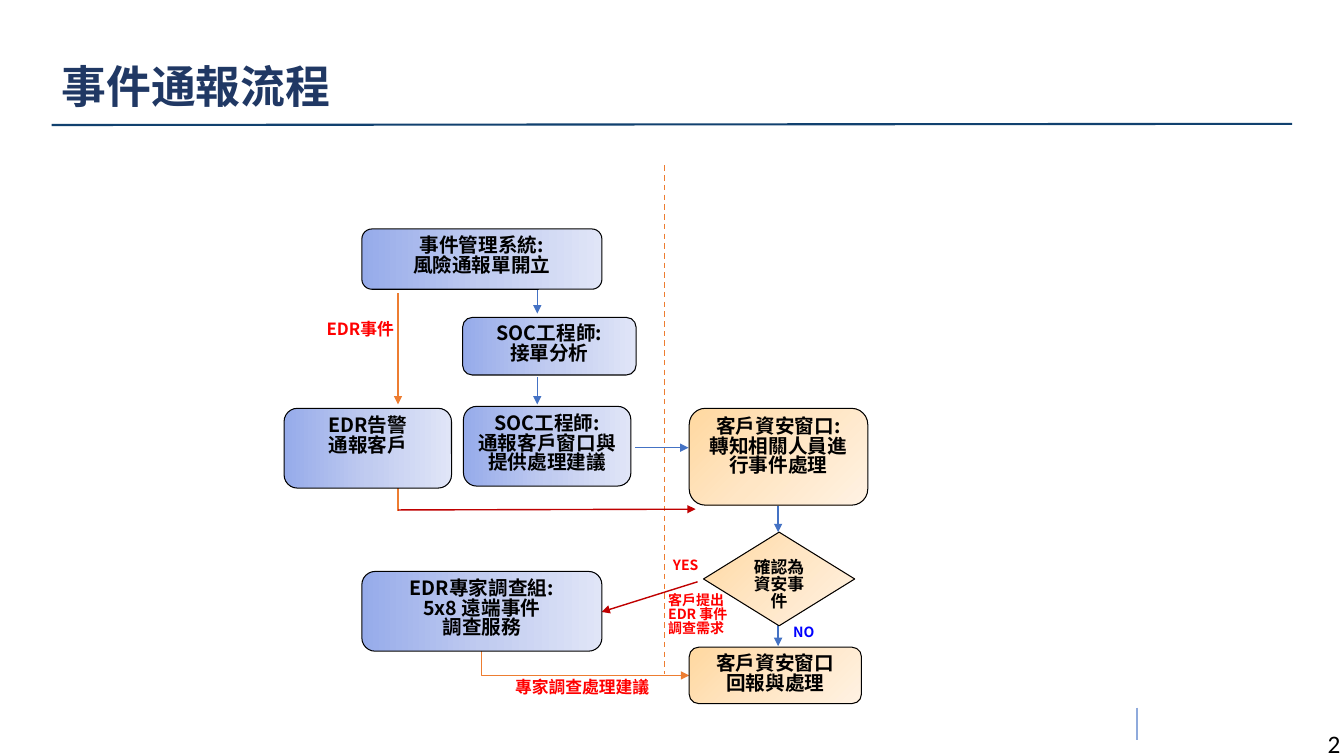
from copy import deepcopy
from dataclasses import dataclass

from lxml import etree
from pptx import Presentation
from pptx.dml.color import RGBColor
from pptx.enum.dml import MSO_LINE
from pptx.enum.shapes import MSO_CONNECTOR, MSO_SHAPE
from pptx.enum.text import MSO_ANCHOR, PP_ALIGN
from pptx.oxml.ns import qn
from pptx.util import Cm, Pt

ROUNDED, DIAMOND = MSO_SHAPE.ROUNDED_RECTANGLE, MSO_SHAPE.DIAMOND
STRAIGHT = MSO_CONNECTOR.STRAIGHT
DASH = MSO_LINE.DASH
TOP = MSO_ANCHOR.TOP
LEFT, CENTER, RIGHT = PP_ALIGN.LEFT, PP_ALIGN.CENTER, PP_ALIGN.RIGHT

CJK_FONT = "Noto Sans CJK SC"
LATIN_FONT = "Calibri"
CJK_SPACING = 0.83

COLORS = {
    "black": "000000", "title": "203864", "rule": "11416F", "tick": "8FAADC",
    "orange": "ED7D31", "blue": "4472C4", "crimson": "C00000",
    "red": "FF0000", "no": "0000FF",
}
GRADIENTS = {
    "provider": (("96ABEA", "C0CBF0", "E0E5F7"), 0),
    "customer": (("FFD8A0", "FFE6C5", "FFF2E3"), 315),
}


@dataclass
class Step:
    text: str
    left: float
    top: float
    width: float
    height: float
    owner: str = "provider"
    outline: int = ROUNDED
    size: int = 14


@dataclass
class Link:
    x1: float
    y1: float
    x2: float
    y2: float
    color: str
    arrow: bool = True
    weight: float = 1
    dashed: bool = False
    bent: bool = False


@dataclass
class Label:
    text: str
    left: float
    top: float
    width: float
    height: float
    size: int
    color: str = "red"
    font: str = CJK_FONT
    bold: bool = True
    align: int = LEFT
    spacing: float = CJK_SPACING
    right_inset: float = 0.25


STEPS = [
    Step("事件管理系統:\n風險通報單開立", 9.12, 5.77, 6.05, 1.52),
    Step("SOC工程師:\n接單分析", 11.66, 8, 4.37, 1.45),
    Step("SOC工程師:\n通報客戶窗口與提供處理建議", 11.68, 10.24, 4.22, 2.01),
    Step("EDR告警\n通報客戶", 7.16, 10.29, 4.22, 2.01),
    Step("客戶資安窗口:\n轉知相關人員進行事件處理", 17.37, 10.29, 4.5, 2.44, "customer"),
    Step("EDR專家調查組:\n5x8 遠端事件\n調查服務", 9.12, 14.4, 6.05, 2.01),
    Step("確認為資安事件", 17.73, 13.41, 3.81, 2.36, "customer", DIAMOND, 12),
    Step("客戶資安窗口\n回報與處理", 17.37, 16.31, 4.34, 1.42, "customer"),
]

LINKS = [
    Link(28.65, 17.83, 28.65, 18.64, "tick", arrow=False),
    Link(1.3, 3.15, 32.56, 3.12, "rule", arrow=False, weight=1.5),
    Link(16.74, 4.17, 16.74, 16.99, "orange", arrow=False, dashed=True),
    Link(10.03, 7.39, 10.03, 10.19, "orange"),
    Link(13.54, 7.29, 13.54, 7.9, "blue"),
    Link(13.54, 9.5, 13.54, 10.19, "blue"),
    Link(16, 11.28, 17.35, 11.28, "blue"),
    Link(10.03, 12.29, 10.03, 12.88, "orange", arrow=False, weight=1.5),
    Link(10.03, 12.85, 17.53, 12.83, "crimson"),
    Link(19.61, 12.73, 19.61, 13.41, "blue"),
    Link(17.58, 14.66, 15.16, 15.42, "crimson"),
    Link(19.61, 15.54, 19.61, 16.28, "blue"),
    Link(12.14, 16.41, 17.37, 17.02, "orange", bent=True),
]

LABELS = [
    Label("事件通報流程", 1.3, 1.5, 31.27, 1.93, 32, "title", LATIN_FONT, spacing=0.9),
    Label("2", 32.11, 18.24, 1.75, 0.81, 18, "black", LATIN_FONT, False, RIGHT, 1, 0.08),
    Label("EDR事件", 7.98, 8, 3.2, 0.76, 12),
    Label("YES", 16.71, 13.97, 1.7, 0.69, 10),
    Label("客戶提出\nEDR 事件\n調查需求", 16.59, 14.86, 2.77, 1.55, 10),
    Label("NO", 19.74, 15.65, 1.7, 0.69, 10, "no"),
    Label("專家調查處理建議", 12.73, 17.02, 4.11, 0.76, 12),
]


def rgb(name: str) -> RGBColor:
    return RGBColor.from_string(COLORS[name])


def write(frame, text: str, size: int, color: str, font: str, bold: bool,
          align: int, spacing: float) -> None:
    frame.word_wrap = True
    frame.vertical_anchor = TOP
    frame.text = text
    for paragraph in frame.paragraphs:
        paragraph.alignment = align
        paragraph.line_spacing = spacing
        for run in paragraph.runs:
            run.font.size = Pt(size)
            run.font.bold = bold
            run.font.name = font
            run.font.color.rgb = rgb(color)
            east_asian = etree.SubElement(run.font._element, qn("a:ea"))
            east_asian.set("typeface", CJK_FONT)


def draw_step(slide, step: Step) -> None:
    box = slide.shapes.add_shape(step.outline, Cm(step.left), Cm(step.top),
                                 Cm(step.width), Cm(step.height))
    box.shadow.inherit = False
    box.line.color.rgb = rgb("black")
    box.line.width = Pt(0.75)
    shades, angle = GRADIENTS[step.owner]
    box.fill.gradient()
    box.fill.gradient_angle = angle
    stop_list = box._element.spPr.find(".//" + qn("a:gsLst"))
    stop_list.insert(1, deepcopy(stop_list[0]))
    for index, (stop, shade) in enumerate(zip(box.fill.gradient_stops, shades)):
        stop.position = index / 2
        stop.color.rgb = RGBColor.from_string(shade)
    write(box.text_frame, step.text, step.size, "black", CJK_FONT, True,
          CENTER, CJK_SPACING)


def draw_link(slide, link: Link) -> None:
    x1, y1, x2, y2 = link.x1, link.y1, link.x2, link.y2
    if link.bent:
        center_x, center_y = (x1 + x2) / 2, (y1 + y2) / 2
        half_width, half_height = (y2 - y1) / 2, (x2 - x1) / 2
        x1, x2 = center_x + half_width, center_x - half_width
        y1, y2 = center_y - half_height, center_y + half_height
    connector = slide.shapes.add_connector(STRAIGHT, Cm(x1), Cm(y1), Cm(x2), Cm(y2))
    properties = connector._element.spPr
    if link.bent:
        properties.find(qn("a:xfrm")).set("rot", str(270 * 60000))
        properties.find(qn("a:prstGeom")).set("prst", "bentConnector2")
    connector.line.color.rgb = rgb(link.color)
    connector.line.width = Pt(link.weight)
    if link.dashed:
        connector.line.dash_style = DASH
    if link.arrow:
        etree.SubElement(properties.find(qn("a:ln")), qn("a:tailEnd")).set("type", "triangle")
    etree.SubElement(properties, qn("a:effectLst"))


def draw_label(slide, label: Label) -> None:
    box = slide.shapes.add_textbox(Cm(label.left), Cm(label.top),
                                   Cm(label.width), Cm(label.height))
    box.text_frame.margin_right = Cm(label.right_inset)
    write(box.text_frame, label.text, label.size, label.color, label.font,
          label.bold, label.align, label.spacing)


def main() -> None:
    deck = Presentation()
    deck.slide_width, deck.slide_height = Cm(33.87), Cm(19.05)
    slide = deck.slides.add_slide(deck.slide_layouts[6])
    for link in LINKS:
        draw_link(slide, link)
    for step in STEPS:
        draw_step(slide, step)
    for label in LABELS:
        draw_label(slide, label)
    deck.save("out.pptx")


if __name__ == "__main__":
    main()
